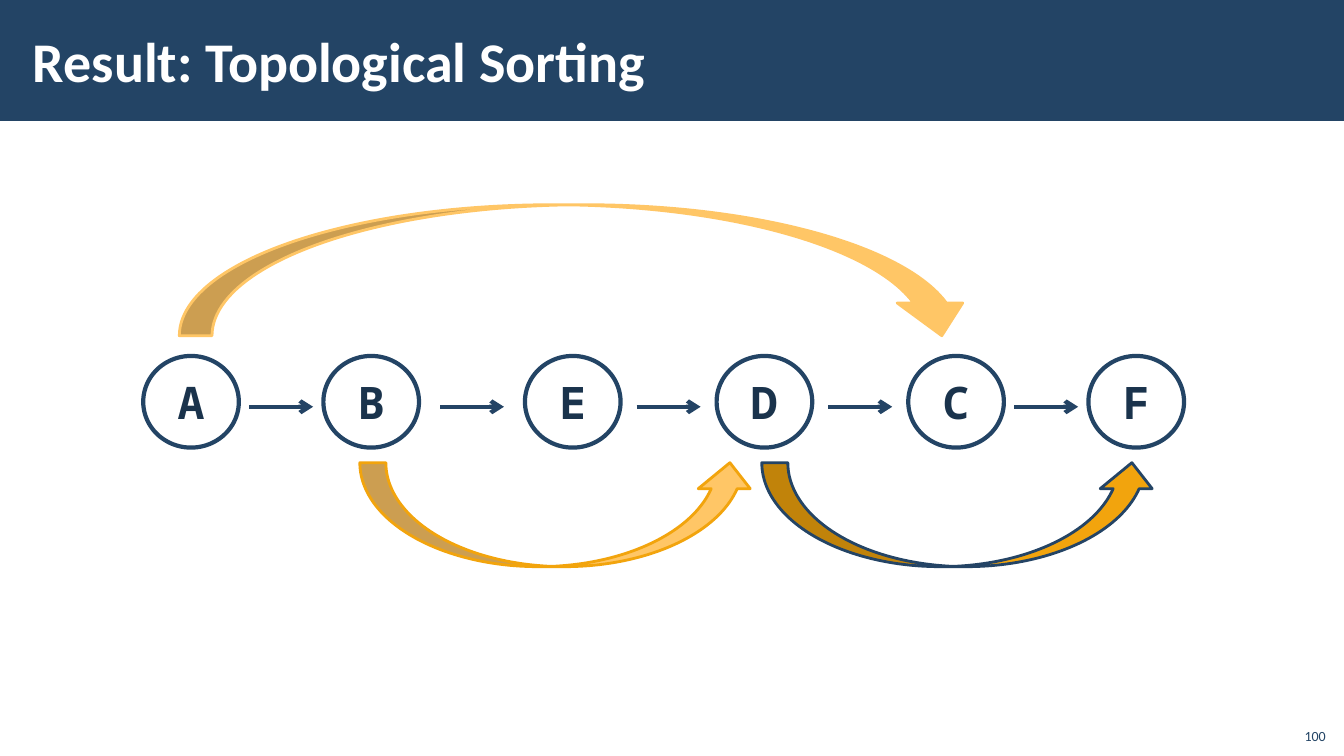
from pptx import Presentation
from pptx.dml.color import RGBColor
from pptx.enum import shapes, text
from pptx.oxml import ns
from pptx.util import Cm, Pt
from lxml import etree

TITLE = "Result: Topological Sorting"
PAGE_NUMBER = "100"
NODES = [("A", 3.61), ("B", 8.15), ("E", 13.23), ("D", 18.06), ("C", 22.89), ("F", 27.43)]
NODE_TOP, NODE_WIDTH, NODE_HEIGHT = 8.97, 2.41, 2.31
EDGE_Y, EDGE_LENGTH = 10.25, 1.61
DOWN = shapes.MSO_SHAPE.CURVED_DOWN_ARROW
UP = shapes.MSO_SHAPE.CURVED_UP_ARROW
ARCS = [
    (DOWN, (4.52, 5.16, 20.04, 3.3), "FFC666", "FFC666"),
    (UP, (19.2, 11.66, 9.98, 2.62), "F2A40D", "244465"),
    (UP, (9.07, 11.66, 9.98, 2.62), "FFC666", "F2A40D"),
]
NAVY, INK, WHITE = "234465", "1A334C", "FFFFFF"


def color(value):
    return RGBColor.from_string(value)


def add_xml(parent, tag, **attributes):
    return etree.SubElement(parent, ns.qn(tag), **attributes)


def add_figure(page, preset, place, fill, line=None, width=0):
    figure = page.shapes.add_shape(preset, *map(Cm, place))
    figure.shadow.inherit = False
    figure.fill.solid()
    figure.fill.fore_color.rgb = color(fill)
    if line:
        figure.line.color.rgb = color(line)
        figure.line.width = Pt(width)
    else:
        figure.line.fill.background()
    return figure


def write(frame, words, size, font, ink, align, bold=False):
    frame.text = words
    para = frame.paragraphs[0]
    para.alignment = align
    para.font.size = Pt(size)
    para.font.name = font
    para.font.bold = bold
    para.font.color.rgb = color(ink)


def add_header(page):
    band = add_figure(page, shapes.MSO_SHAPE.RECTANGLE, (0, 0, 33.87, 3.05), NAVY)
    title = page.shapes.title
    title.element.addprevious(band.element)
    title.left, title.top, title.width, title.height = map(Cm, (0.53, 0.28, 27, 2.46))
    frame = title.text_frame
    write(frame, TITLE, 40, "Calibri", WHITE, text.PP_ALIGN.LEFT, True)
    frame.vertical_anchor = text.MSO_ANCHOR.MIDDLE
    frame.margin_left = frame.margin_right = Cm(0.3)
    frame.margin_top = frame.margin_bottom = Cm(0.1)


def add_page_number(page):
    box = page.shapes.add_textbox(*map(Cm, (32, 18.08, 1.66, 0.81)))
    frame = box.text_frame
    frame.word_wrap = True
    frame.vertical_anchor = text.MSO_ANCHOR.BOTTOM
    write(frame, PAGE_NUMBER, 10, "Calibri", NAVY, text.PP_ALIGN.RIGHT)


def add_node(page, name, left):
    place = (left, NODE_TOP, NODE_WIDTH, NODE_HEIGHT)
    node = add_figure(page, shapes.MSO_SHAPE.OVAL, place, WHITE, NAVY, 3)
    fill = node.element.spPr.find(ns.qn("a:solidFill"))
    add_xml(fill[0], "a:alpha", val="50000")
    frame = node.text_frame
    frame.word_wrap = False
    frame.vertical_anchor = text.MSO_ANCHOR.MIDDLE
    write(frame, name, 32, "Noto Sans Mono", INK, text.PP_ALIGN.CENTER, True)


def add_edge(page, left, next_left):
    start = (left + NODE_WIDTH + next_left - EDGE_LENGTH) / 2
    ends = (start, EDGE_Y, start + EDGE_LENGTH, EDGE_Y)
    edge = page.shapes.add_connector(shapes.MSO_CONNECTOR.STRAIGHT, *map(Cm, ends))
    edge.line.color.rgb = color("244465")
    edge.line.width = Pt(3)
    line = edge.element.spPr.find(ns.qn("a:ln"))
    add_xml(line, "a:tailEnd", type="arrow")
    add_xml(edge.element.spPr, "a:effectLst")


def main():
    deck = Presentation()
    deck.slide_width, deck.slide_height = Cm(33.87), Cm(19.05)
    page = deck.slides.add_slide(deck.slide_layouts[5])
    add_header(page)
    add_page_number(page)
    for name, left in NODES:
        add_node(page, name, left)
    for (_, left), (_, next_left) in zip(NODES, NODES[1:]):
        add_edge(page, left, next_left)
    for preset, place, fill, line in ARCS:
        add_figure(page, preset, place, fill, line, 2)
    deck.save("out.pptx")


if __name__ == "__main__":
    main()
